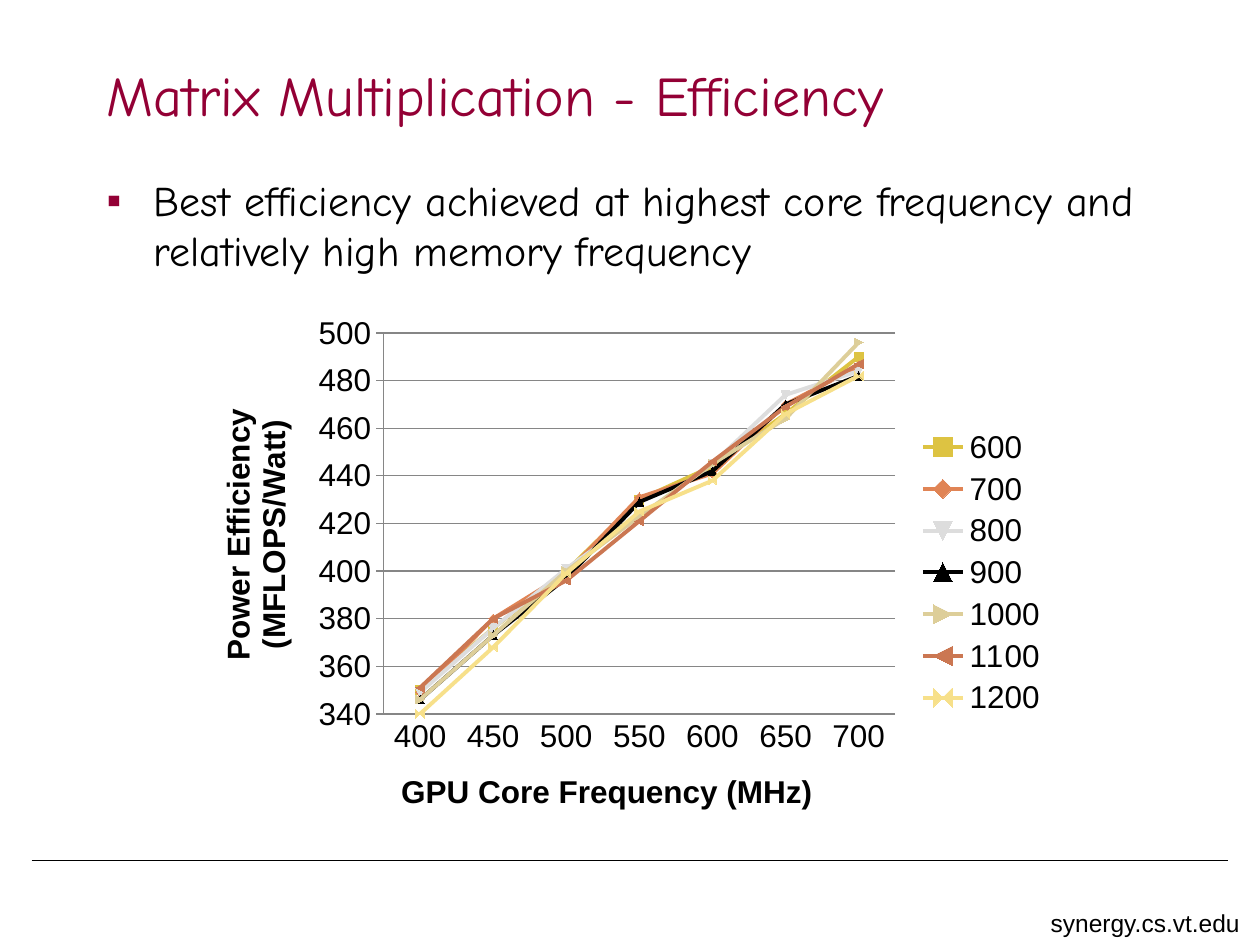
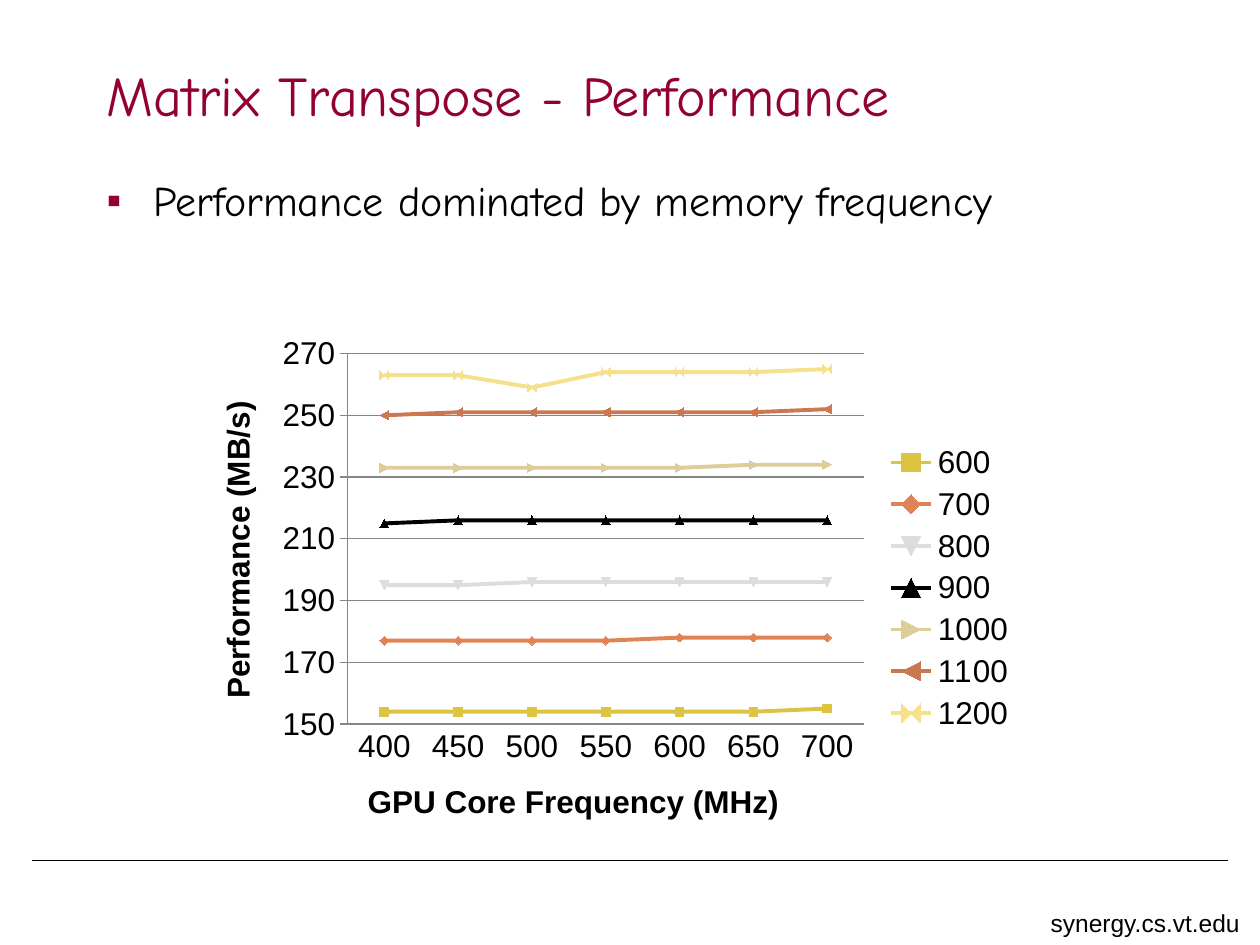
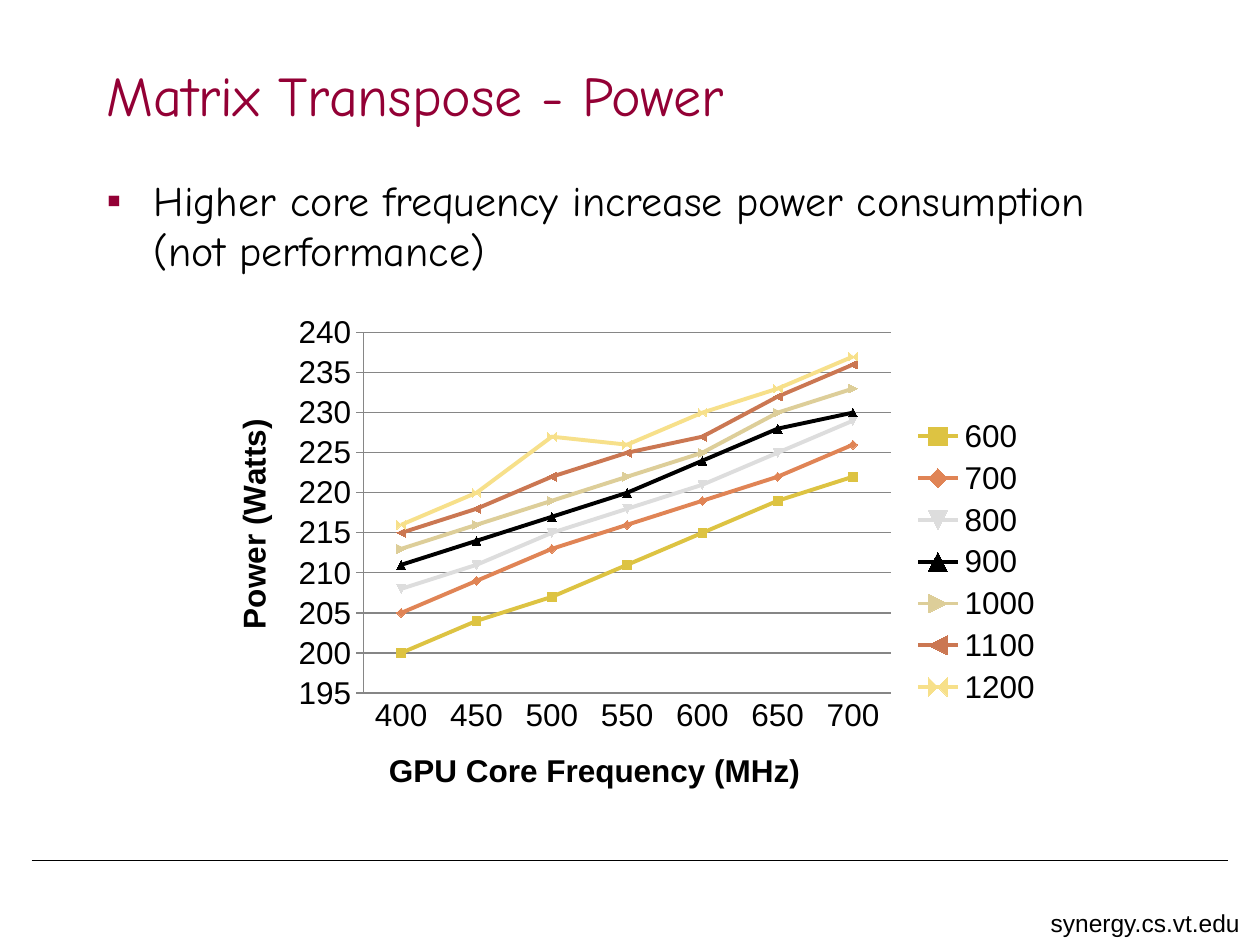
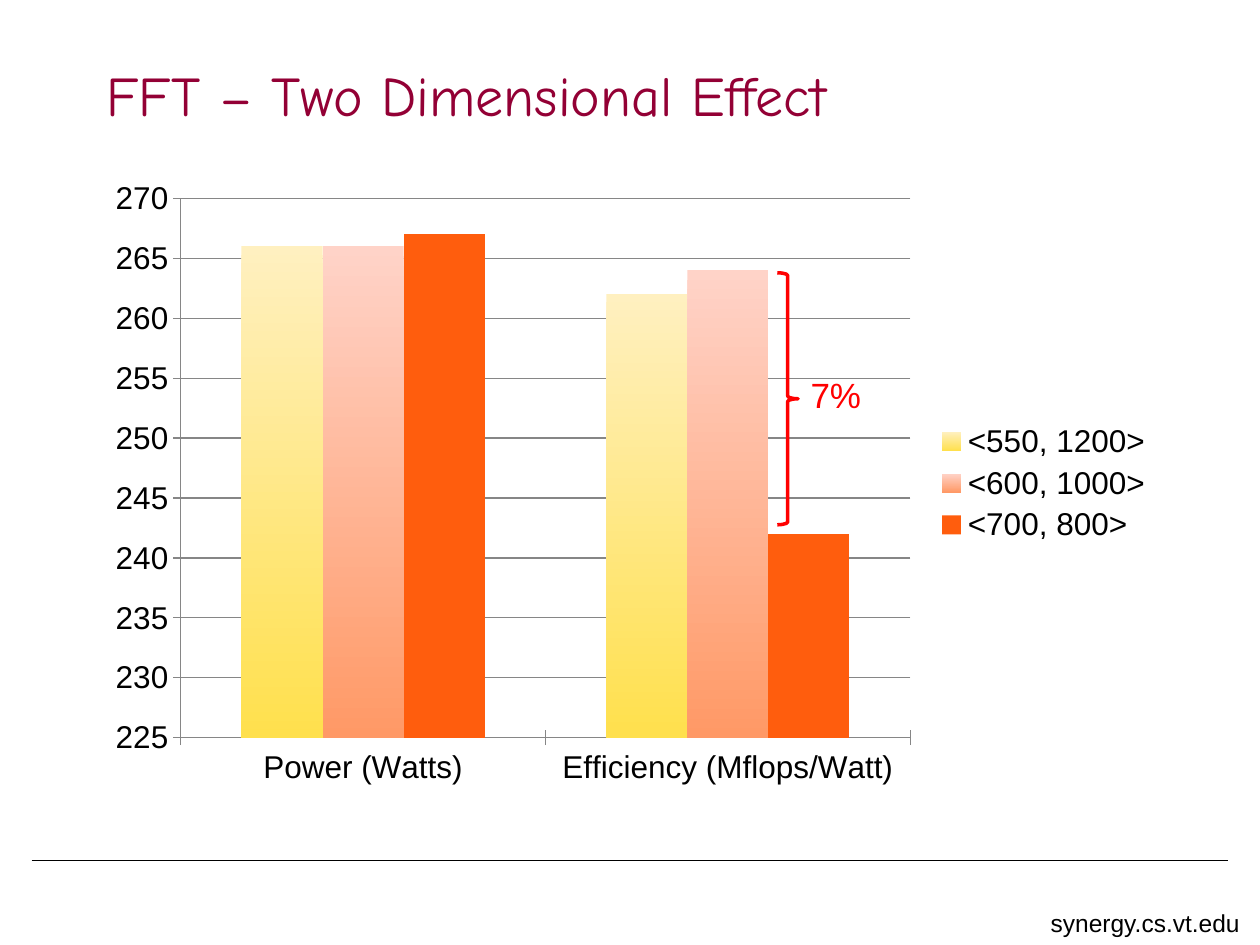
from dataclasses import dataclass

import pptx
import pptx.chart.data
import pptx.dml.color
import pptx.enum.chart
import pptx.enum.shapes
import pptx.enum.text
import pptx.oxml.ns
import pptx.util
from lxml import etree

Cm = pptx.util.Cm
Pt = pptx.util.Pt
qn = pptx.oxml.ns.qn
Kind = pptx.enum.chart.XL_CHART_TYPE
Tick = pptx.enum.chart.XL_TICK_MARK


@dataclass(frozen=True)
class Theme:
    head: str = "Comic Neue"
    plain: str = "Arial"
    maroon: str = "930035"
    black: str = "000000"
    red: str = "FF0000"
    grid: str = "868686"
    lines: tuple = ("DDC342", "E08455", "DDDDDD", "000000",
                    "DDCE99", "CB7752", "F7E08A")
    # one colour, or the top and bottom of a gradient
    bars: tuple = (("FFF0C0", "FFE04D"), ("FFD3C8", "FF9966"), ("FF5D0D",))
    title: int = 32
    body: int = 24
    note: int = 20
    label: int = 18
    foot: int = 14


THEME = Theme()
CORE = list(range(400, 701, 50))
MEMORY = [str(mhz) for mhz in range(600, 1201, 100)]

MATRIX = [
    [350, 376, 400, 430, 444, 466, 490],
    [349, 380, 399, 431, 441, 470, 486],
    [349, 376, 401, 423, 445, 474, 484],
    [346, 373, 397, 429, 442, 470, 482],
    [346, 373, 400, 423, 445, 464, 496],
    [351, 380, 396, 421, 446, 469, 487],
    [340, 368, 399, 425, 438, 466, 482],
]
SPEED = [
    [154, 154, 154, 154, 154, 154, 155],
    [177, 177, 177, 177, 178, 178, 178],
    [195, 195, 196, 196, 196, 196, 196],
    [215, 216, 216, 216, 216, 216, 216],
    [233, 233, 233, 233, 233, 234, 234],
    [250, 251, 251, 251, 251, 251, 252],
    [263, 263, 259, 264, 264, 264, 265],
]
POWER = [
    [200, 204, 207, 211, 215, 219, 222],
    [205, 209, 213, 216, 219, 222, 226],
    [208, 211, 215, 218, 221, 225, 229],
    [211, 214, 217, 220, 224, 228, 230],
    [213, 216, 219, 222, 225, 230, 233],
    [215, 218, 222, 225, 227, 232, 236],
    [216, 220, 227, 226, 230, 233, 237],
]
EFFECT = {
    "<550, 1200>": [266, 262],
    "<600, 1000>": [266, 264],
    "<700, 800>": [267, 242],
}


def place(*box):
    return [Cm(length) for length in box]


def tint(text):
    return pptx.dml.color.RGBColor.from_string(text)


def style(font, size, color=THEME.black, face=THEME.plain, bold=False):
    font.size, font.name, font.bold = Pt(size), face, bold
    font.color.rgb = tint(color)


def stroke(line, color, width):
    line.color.rgb = tint(color)
    line.width = Pt(width)


def bullet(para):
    props = para._p.get_or_add_pPr()
    props.set("marL", str(Cm(0.95)))
    props.set("indent", str(Cm(-0.95)))
    color = etree.SubElement(props, qn("a:buClr"))
    etree.SubElement(color, qn("a:srgbClr")).set("val", THEME.maroon)
    etree.SubElement(props, qn("a:buFont")).set("typeface", THEME.plain)
    etree.SubElement(props, qn("a:buChar")).set("char", "▪")


def write(slide, text, box, middle=False, dot=False, **format):
    frame = slide.shapes.add_textbox(*place(*box)).text_frame
    frame.word_wrap = True
    if middle:
        frame.vertical_anchor = pptx.enum.text.MSO_ANCHOR.MIDDLE
    para = frame.paragraphs[0]
    if dot:
        bullet(para)
    run = para.add_run()
    run.text = text
    style(run.font, **format)


def start(deck, title, point=None):
    """Add a slide with the shared rule, footer and title style."""
    slide = deck.slides.add_slide(deck.slide_layouts[6])
    rule = slide.shapes.add_connector(
        pptx.enum.shapes.MSO_CONNECTOR.STRAIGHT,
        *place(0.64, 17.35, 24.76, 17.35))
    stroke(rule.line, THEME.black, 0.25)
    etree.SubElement(rule._element.spPr, qn("a:effectLst"))
    write(slide, "synergy.cs.vt.edu", (20.93, 18.19, 4.47, 0.86),
          size=THEME.foot)
    write(slide, title, (1.9, 0.85, 21.6, 2.1), middle=True,
          size=THEME.title, color=THEME.maroon, face=THEME.head)
    if point:
        write(slide, point, (1.9, 3.39, 21.6, 12.7), dot=True,
              size=THEME.body, face=THEME.head)
    return slide


def name(axis, text):
    frame = axis.axis_title.text_frame
    frame.text = text
    style(frame.paragraphs[0].runs[0].font, THEME.label, bold=True)
    return frame


def plot(slide, kind, box, cats, series, scale):
    """Add a chart; scale is the least, greatest and step of its value axis."""
    data = pptx.chart.data.CategoryChartData()
    data.categories = cats
    for label, values in series.items():
        data.add_series(label, values)
    chart = slide.shapes.add_chart(kind, *place(*box), data).chart
    style(chart.font, THEME.label)
    chart.has_title = False
    chart.has_legend = True
    chart.legend.position = pptx.enum.chart.XL_LEGEND_POSITION.RIGHT
    chart.legend.include_in_layout = False
    chart.plots[0].vary_by_categories = False

    axis = chart.value_axis
    axis.minimum_scale, axis.maximum_scale, axis.major_unit = scale
    axis.has_major_gridlines = True
    stroke(axis.major_gridlines.format.line, THEME.grid, 0.75)
    for each in (axis, chart.category_axis):
        each.major_tick_mark = Tick.CROSS
        each.minor_tick_mark = Tick.NONE
        stroke(each.format.line, THEME.grid, 0.75)
    return chart


def trend(slide, box, rows, title, scale):
    """Draw one line per memory frequency over the core frequencies."""
    chart = plot(slide, Kind.LINE_MARKERS, box, CORE,
                 dict(zip(MEMORY, rows)), scale)
    chart.category_axis.major_tick_mark = Tick.NONE
    name(chart.category_axis, "GPU Core Frequency (MHz)")
    side = name(chart.value_axis, title)
    side._txBody.bodyPr.set("rot", "-5400000")
    side._txBody.bodyPr.set("vert", "horz")
    for line, color in zip(chart.plots[0].series, THEME.lines):
        line.smooth = False
        stroke(line.format.line, color, 2.25)
        mark = line.marker
        mark.size = 5
        mark.format.fill.solid()
        mark.format.fill.fore_color.rgb = tint(color)
        stroke(mark.format.line, color, 0.75)


def columns(slide, box, cats, series, scale):
    chart = plot(slide, Kind.COLUMN_CLUSTERED, box, cats, series, scale)
    chart.plots[0].gap_width = 150
    for bar, colors in zip(chart.plots[0].series, THEME.bars):
        fill = bar.format.fill
        if len(colors) == 1:
            fill.solid()
            fill.fore_color.rgb = tint(colors[0])
            continue
        fill.gradient()
        fill.gradient_angle = 270
        for stop, color in zip(fill.gradient_stops, colors):
            stop.color.rgb = tint(color)


def brace(slide, box):
    shape = slide.shapes.add_shape(
        pptx.enum.shapes.MSO_SHAPE.RIGHT_BRACE, *place(*box))
    shape.shadow.inherit = False
    shape.adjustments[0] = 0.13
    shape.adjustments[1] = 0.5
    shape.fill.background()
    stroke(shape.line, THEME.red, 2)


def main():
    deck = pptx.Presentation()
    deck.slide_width, deck.slide_height = place(25.4, 19.05)

    slide = start(deck, "Matrix Multiplication - Efficiency",
                  "Best efficiency achieved at highest core frequency "
                  "and relatively high memory frequency")
    trend(slide, (3.81, 6.14, 17.57, 10.8), MATRIX,
          "Power Efficiency (MFLOPS/Watt)", (340, 500, 20))

    slide = start(deck, "Matrix Transpose - Performance",
                  "Performance dominated by memory frequency")
    trend(slide, (3.81, 6.56, 16.93, 10.58), SPEED,
          "Performance (MB/s)", (150, 270, 20))

    slide = start(deck, "Matrix Transpose - Power",
                  "Higher core frequency increase power consumption "
                  "(not performance)")
    trend(slide, (4.13, 6.14, 17.15, 10.37), POWER,
          "Power (Watts)", (195, 240, 5))

    slide = start(deck, "FFT – Two Dimensional Effect")
    columns(slide, (1.9, 3.39, 21.6, 12.7),
            ["Power (Watts)", "Efficiency (Mflops/Watt)"],
            EFFECT, (225, 270, 5))
    brace(slide, (15.67, 5.5, 0.42, 5.08))
    write(slide, "7%", (16.09, 7.41, 1.9, 1.1),
          size=THEME.note, color=THEME.red)

    deck.save("out.pptx")


if __name__ == "__main__":
    main()
